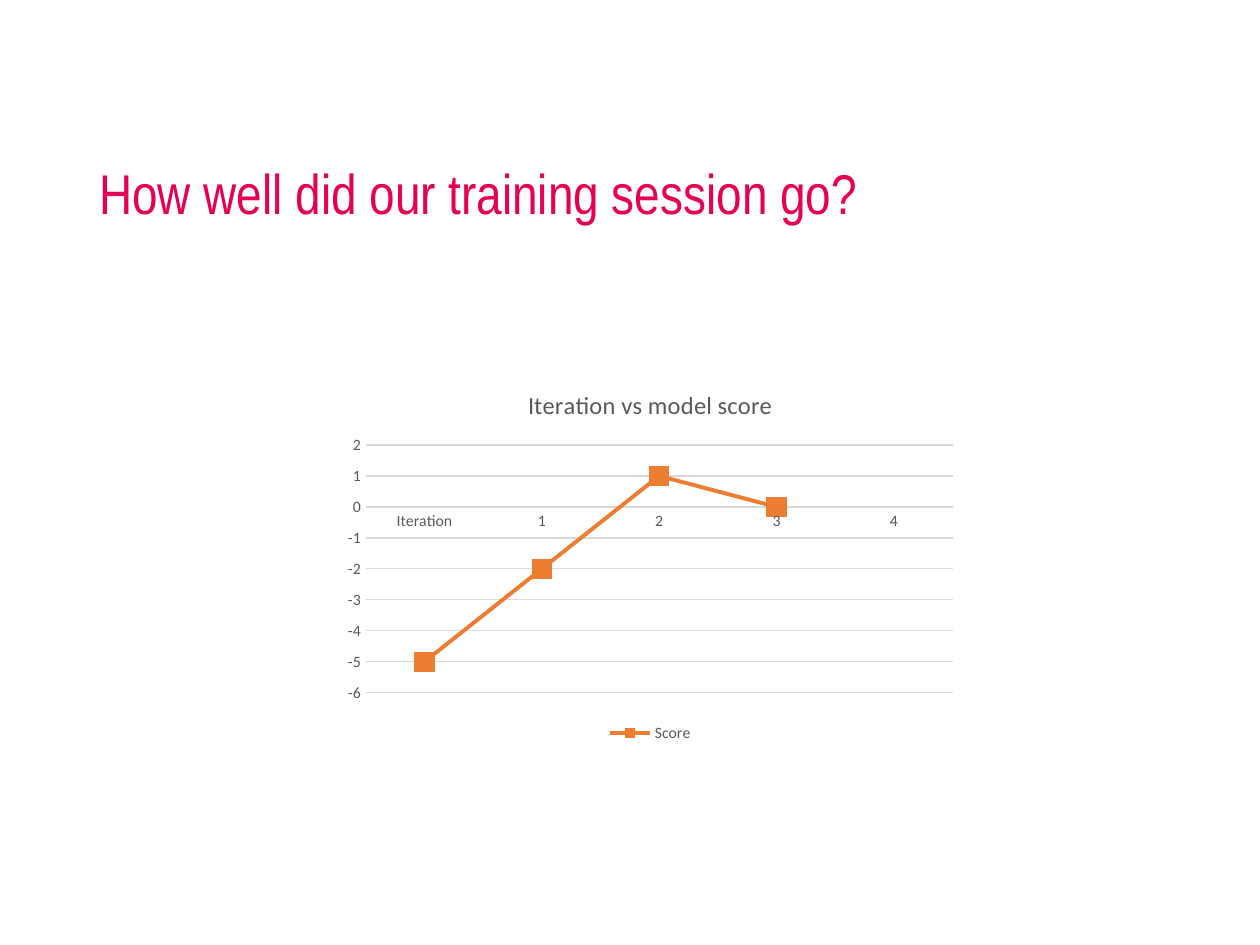
from pptx import Presentation
from pptx.chart.data import CategoryChartData
from pptx.dml.color import RGBColor
from pptx.enum.chart import XL_CHART_TYPE as ChartType
from pptx.enum.chart import XL_LEGEND_POSITION as LegendPosition
from pptx.enum.chart import XL_MARKER_STYLE as MarkerStyle
from pptx.enum.chart import XL_TICK_MARK as TickMark
from pptx.enum.text import MSO_ANCHOR as Anchor
from pptx.util import Cm, Pt

PINK = RGBColor(0xE5, 0x00, 0x56)
ORANGE = RGBColor(0xED, 0x7D, 0x31)
GRAY = RGBColor(0x59, 0x59, 0x59)
LIGHT_GRAY = RGBColor(0xD9, 0xD9, 0xD9)


def style_font(font, name, size, color):
    font.name = name
    font.size = Pt(size)
    font.bold = False
    font.color.rgb = color


presentation = Presentation()
presentation.slide_width = Cm(25.4)
presentation.slide_height = Cm(19.05)
slide = presentation.slides.add_slide(presentation.slide_layouts[6])

title_box = slide.shapes.add_textbox(Cm(1.75), Cm(1.02), Cm(21.9), Cm(3.68))
text_frame = title_box.text_frame
text_frame.word_wrap = True
text_frame.vertical_anchor = Anchor.BOTTOM
text_frame.text = "How well did our training session go?"
paragraph = text_frame.paragraphs[0]
paragraph.line_spacing = 0.9
style_font(paragraph.runs[0].font, "Arial Narrow", 32, PINK)

chart_data = CategoryChartData()
chart_data.categories = ["Iteration", "1", "2", "3", "4"]
chart_data.add_series("Score", [-5, -2, 1, 0, None])
chart = slide.shapes.add_chart(
    ChartType.LINE_MARKERS, Cm(6.76), Cm(7.44), Cm(12.7), Cm(7.62), chart_data
).chart
style_font(chart.font, "Calibri", 9, GRAY)

chart.has_title = True
chart_title = chart.chart_title
chart_title.include_in_layout = False
chart_title.text_frame.text = "Iteration vs model score"
style_font(chart_title.text_frame.paragraphs[0].runs[0].font, "Calibri", 14, GRAY)

chart.has_legend = True
chart.legend.position = LegendPosition.BOTTOM
chart.legend.include_in_layout = False
style_font(chart.legend.font, "Calibri", 9, GRAY)

category_axis = chart.category_axis
value_axis = chart.value_axis
for axis in (category_axis, value_axis):
    axis.major_tick_mark = TickMark.NONE
    axis.minor_tick_mark = TickMark.NONE
    style_font(axis.tick_labels.font, "Calibri", 9, GRAY)
value_axis.minimum_scale = -6
value_axis.maximum_scale = 2
value_axis.major_unit = 1
value_axis.has_major_gridlines = True
value_axis.format.line.fill.background()
for line in (category_axis.format.line, value_axis.major_gridlines.format.line):
    line.color.rgb = LIGHT_GRAY
    line.width = Pt(0.75)

plot = chart.plots[0]
plot.vary_by_categories = False
score = plot.series[0]
score.smooth = False
score.format.line.color.rgb = ORANGE
score.format.line.width = Pt(2.25)
marker = score.marker
marker.style = MarkerStyle.SQUARE
marker.size = 11
marker.format.fill.solid()
marker.format.fill.fore_color.rgb = ORANGE
marker.format.line.color.rgb = ORANGE

presentation.save("out.pptx")
